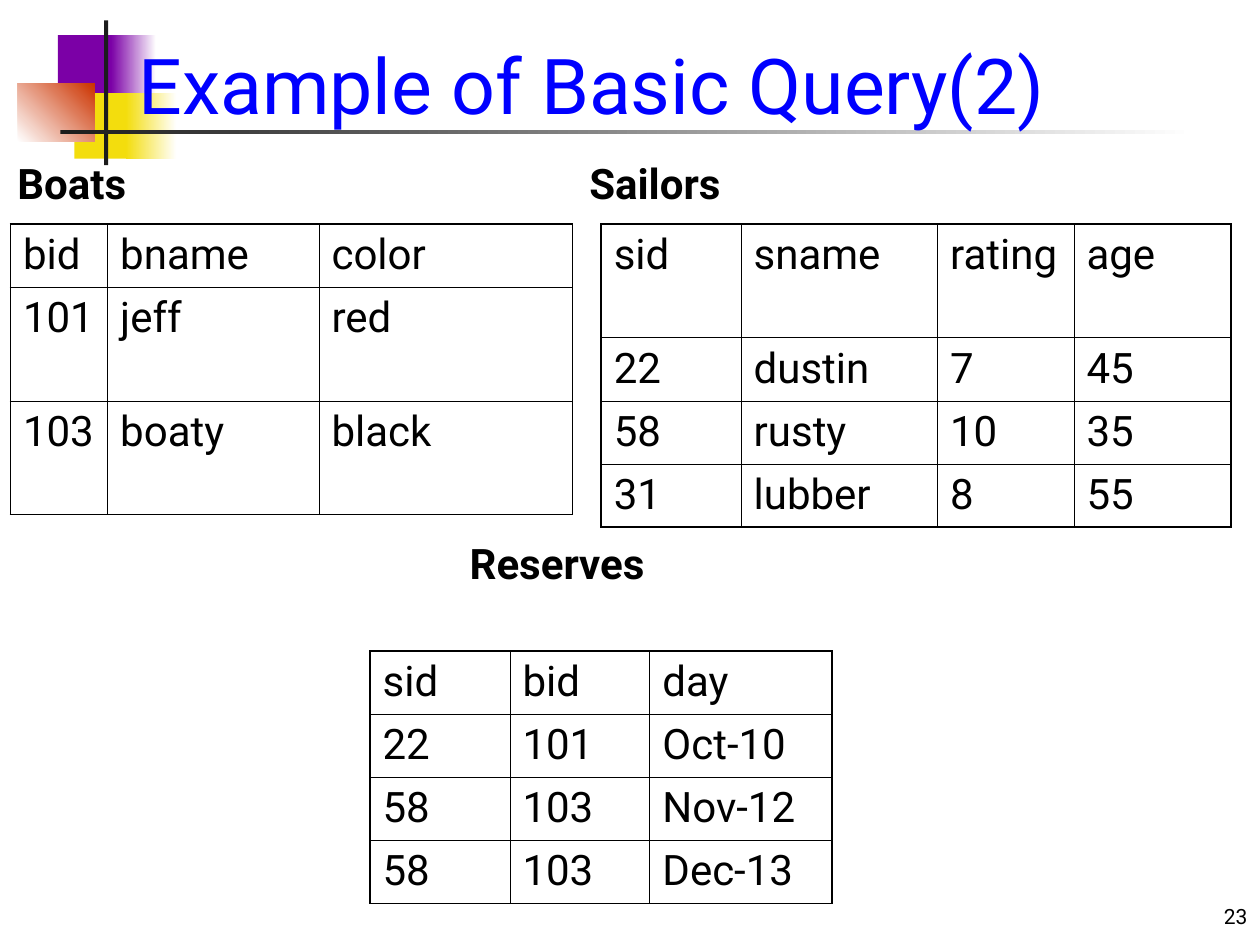
from lxml import etree
from pptx import Presentation
from pptx import util as u
from pptx.dml.color import RGBColor
from pptx.enum import shapes, text
from pptx.oxml.ns import qn

Cm, Pt = u.Cm, u.Pt
FONT = "Roboto"
HUES = {
    "black": "000000", "blue": "0000FF", "white": "FFFFFF", "ink": "1C1C1C",
    "purple": "7B00A6", "yellow": "F3DD0D", "red": "CC3300",
}
THICK, THIN = 1.08, 0.45
LOW, TALL = 1.27, 2.29

# left, top, width, height, start hue, end hue (None for solid), angle
DECOR = [
    (1.17, 0.71, 1.22, 1.32, "purple", None, 0),
    (2.24, 0.71, 0.91, 1.32, "purple", "white", 0),
    (1.5, 1.88, 1.17, 1.32, "yellow", None, 0),
    (2.54, 1.88, 1.02, 1.32, "yellow", "white", 0),
    (0.36, 1.68, 1.55, 1.17, "white", "red", 45),
    (2.1, 0.41, 0.08, 2.92, "ink", None, 0),
    (1.22, 2.62, 22.86, 0.08, "ink", "white", 0),
]

BOATS = [("bid", "bname", "color"),
         ("101", "jeff", "red"),
         ("103", "boaty", "black")]
SAILORS = [("sid", "sname", "rating", "age"),
           ("22", "dustin", "7", "45"),
           ("58", "rusty", "10", "35"),
           ("31", "lubber", "8", "55")]
RESERVES = [("sid", "bid", "day"),
            ("22", "101", "Oct-10"),
            ("58", "103", "Nov-12"),
            ("58", "103", "Dec-13")]


def rgb(hue):
    return RGBColor.from_string(HUES[hue])


def style(para, size, hue="black", bold=False):
    for run in para.runs:
        font = run.font
        font.name, font.size, font.bold = FONT, Pt(size), bold
        font.color.rgb = rgb(hue)


def add_block(slide, left, top, width, height, hue, end, angle):
    block = slide.shapes.add_shape(
        shapes.MSO_SHAPE.RECTANGLE, Cm(left), Cm(top), Cm(width), Cm(height))
    block.shadow.inherit = False
    block.line.fill.background()
    fill = block.fill
    if end is None:
        fill.solid()
        fill.fore_color.rgb = rgb(hue)
        return
    fill.gradient()
    fill.gradient_angle = angle
    for stop, tone in zip(fill.gradient_stops, (hue, end)):
        stop.color.rgb = rgb(tone)


def add_text(slide, left, top, width, height, words, size, hue="black",
             bold=False, anchor=text.MSO_ANCHOR.TOP, align=text.PP_ALIGN.LEFT):
    box = slide.shapes.add_textbox(Cm(left), Cm(top), Cm(width), Cm(height))
    frame = box.text_frame
    frame.word_wrap = True
    frame.vertical_anchor = anchor
    frame.text = words
    para = frame.paragraphs[0]
    para.alignment = align
    style(para, size, hue, bold)


def add_edge(cell, side, width):
    """Draw one border of a cell; side is L, R, T or B."""
    props = cell._tc.get_or_add_tcPr()
    line = etree.SubElement(props, qn(f"a:ln{side}"), w=str(int(Pt(width))))
    fill = etree.SubElement(line, qn("a:solidFill"))
    etree.SubElement(fill, qn("a:srgbClr"), val=HUES["black"])


def add_grid(slide, left, top, cols, rows, data):
    """Add a table with a thick outer frame and thin inner lines."""
    table = slide.shapes.add_table(
        len(rows), len(cols), Cm(left), Cm(top),
        Cm(sum(cols)), Cm(sum(rows))).table
    table.first_row = table.horz_banding = False
    for col, width in zip(table.columns, cols):
        col.width = Cm(width)
    for row, height in zip(table.rows, rows):
        row.height = Cm(height)
    for r, line in enumerate(data):
        for c, words in enumerate(line):
            cell = table.cell(r, c)
            cell.text = words
            style(cell.text_frame.paragraphs[0], 24)
            outer = {"L": c == 0, "R": c == len(cols) - 1,
                     "T": r == 0, "B": r == len(rows) - 1}
            for side, edge in outer.items():
                add_edge(cell, side, THICK if edge else THIN)
            cell.fill.background()


def main():
    deck = Presentation()
    deck.slide_width, deck.slide_height = Cm(25.4), Cm(19.05)
    slide = deck.slides.add_slide(deck.slide_layouts[6])

    for block in DECOR:
        add_block(slide, *block)
    low = text.MSO_ANCHOR.BOTTOM
    add_text(slide, 20.12, 17.58, 5.28, 1.27, "23", 12,
             anchor=low, align=text.PP_ALIGN.RIGHT)
    add_text(slide, 2.54, -0.43, 22.43, 3.18, "Example of Basic Query(2)", 44,
             "blue", anchor=low)

    for left, top, name in [(0.1, 3.05, "Boats"), (11.63, 3.05, "Sailors"),
                            (9.22, 10.72, "Reserves")]:
        add_text(slide, left, top, 4.88, LOW, name, 24, bold=True)
    add_grid(slide, 0.21, 4.52, [1.96, 4.26, 5.11], [LOW, TALL, TALL], BOATS)
    add_grid(slide, 12.12, 4.52, [2.82, 3.96, 2.75, 3.17],
             [TALL] + [LOW] * 3, SAILORS)
    add_grid(slide, 7.46, 13.13, [2.82, 2.82, 3.67], [LOW] * 4, RESERVES)

    deck.save("out.pptx")


if __name__ == "__main__":
    main()
